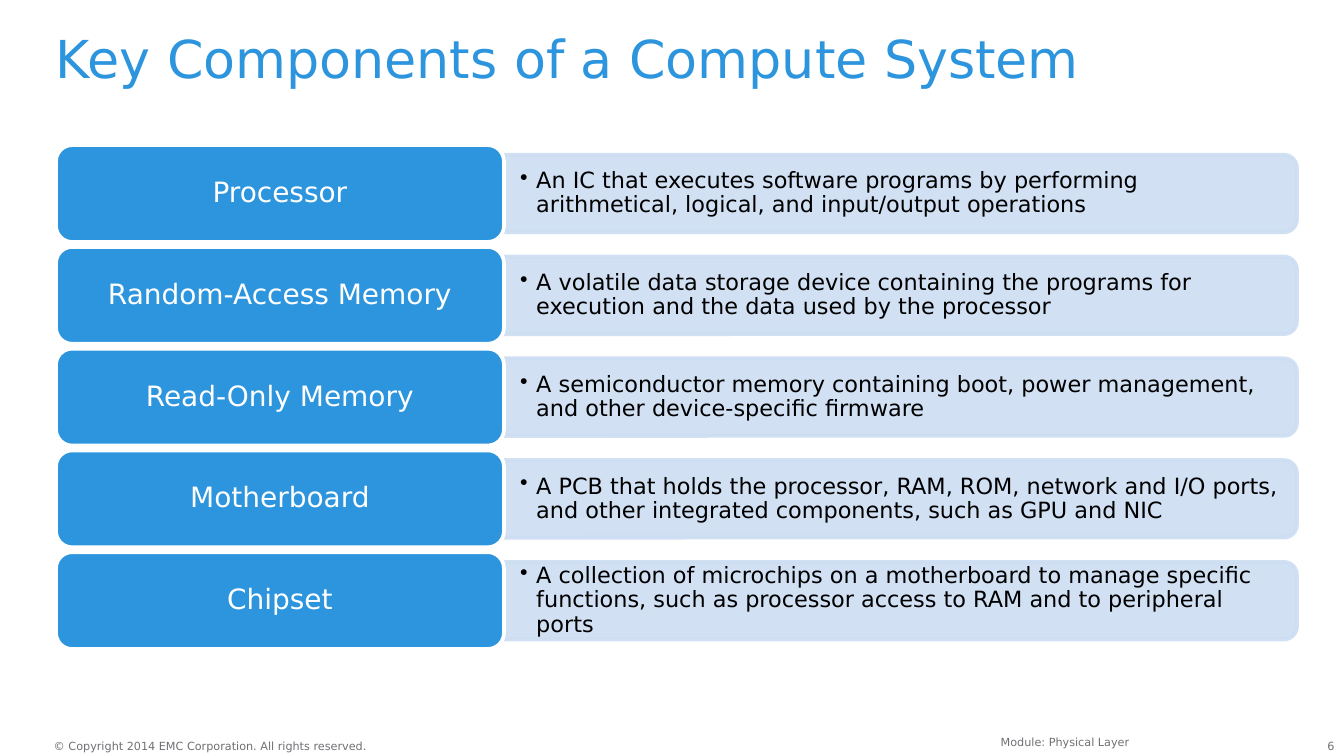
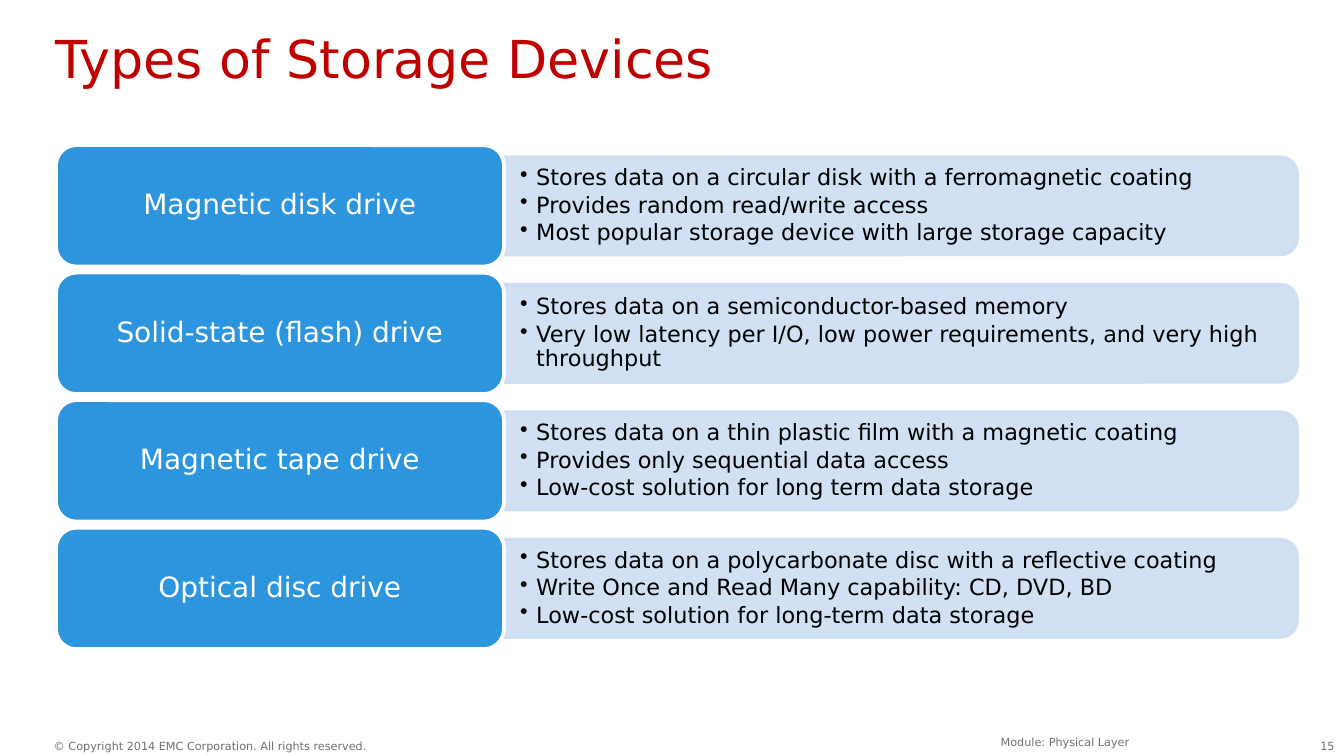
"""Build two slides that pair component names with their descriptions."""
from lxml import etree
from pptx import Presentation
from pptx.dml.color import RGBColor
from pptx.enum.shapes import MSO_SHAPE as Preset
from pptx.enum.text import MSO_ANCHOR as Anchor, MSO_AUTO_SIZE as AutoSize, PP_ALIGN as Align
from pptx.oxml.ns import qn
from pptx.util import Inches, Pt

FONT = "DejaVu Sans"
BLUE = RGBColor(0x2C, 0x95, 0xDD)
RED = RGBColor(0xC0, 0x00, 0x00)
PALE = RGBColor(0xCD, 0xDD, 0xF2)
GRAY = RGBColor(0x71, 0x70, 0x74)
BLACK = RGBColor(0, 0, 0)
WHITE = RGBColor(0xFF, 0xFF, 0xFF)

WIDTH = Inches(10)
HEIGHT = WIDTH * 9 // 16
LEFT, LABEL_WIDTH, DETAIL_WIDTH = WIDTH // 24, WIDTH // 3, int(WIDTH * 0.59)
DETAIL_LEFT = LEFT + LABEL_WIDTH
GRID_TOP, GRID_HEIGHT = Inches(1.08), Inches(3.75)
GAP_SHARE, BAR_SHARE = 0.05, 0.8

SLIDES = [
    ("Key Components of a Compute System", BLUE, "6", [
        ("Processor", ["An IC that executes software programs by performing arithmetical, "
                       "logical, and input/output operations"]),
        ("Random-Access Memory", ["A volatile data storage device containing the programs for "
                                  "execution and the data used by the processor"]),
        ("Read-Only Memory", ["A semiconductor memory containing boot, power management, "
                              "and other device-specific firmware"]),
        ("Motherboard", ["A PCB that holds the processor, RAM, ROM, network and I/O ports, "
                         "and other integrated components, such as GPU and NIC"]),
        ("Chipset", ["A collection of microchips on a motherboard to manage specific functions, "
                     "such as processor access to RAM and to peripheral ports"]),
    ]),
    ("Types of Storage Devices", RED, "15", [
        ("Magnetic disk drive", ["Stores data on a circular disk with a ferromagnetic coating",
                                 "Provides random read/write access",
                                 "Most popular storage device with large storage capacity"]),
        ("Solid-state (flash) drive", ["Stores data on a semiconductor-based memory",
                                       "Very low latency per I/O, low power requirements, "
                                       "and very high throughput"]),
        ("Magnetic tape drive", ["Stores data on a thin plastic film with a magnetic coating",
                                 "Provides only sequential data access",
                                 "Low-cost solution for long term data storage"]),
        ("Optical disc drive", ["Stores data on a polycarbonate disc with a reflective coating",
                                "Write Once and Read Many capability: CD, DVD, BD",
                                "Low-cost solution for long-term data storage"]),
    ]),
]
FOOTERS = [
    (0.40, 5.50, 2.37, 0.10, Align.LEFT, (0, 0), "© Copyright 2014 EMC Corporation. All rights reserved."),
    (2.83, 5.42, 5.67, 0.15, Align.RIGHT, (0.1, 0.05), "Module: Physical Layer"),
    (9.62, 5.50, 0.31, 0.10, Align.RIGHT, (0, 0), None),
]


def write(shape, lines, size, color, align=Align.LEFT, anchor=Anchor.TOP,
          margins=(0, 0), spacing=0.9, bullets=False):
    frame = shape.text_frame
    frame.word_wrap = True
    frame.auto_size = AutoSize.NONE
    frame.vertical_anchor = anchor
    frame.margin_left = frame.margin_right = Inches(margins[0])
    frame.margin_top = frame.margin_bottom = Inches(margins[1])
    frame.text = "\n".join(lines)
    for paragraph in frame.paragraphs:
        paragraph.alignment = align
        paragraph.line_spacing = spacing
        if bullets:
            paragraph.space_after = Pt(1.8)
            properties = paragraph._p.get_or_add_pPr()
            properties.set("marL", str(Inches(0.12)))
            properties.set("indent", str(-Inches(0.12)))
            etree.SubElement(properties, qn("a:buChar"), char="•")
        for font in [paragraph.font] + [run.font for run in paragraph.runs]:
            font.name = FONT
            font.size = Pt(size)
            font.color.rgb = color


def add_block(slide, preset, left, top, width, height, fill, line, opacity=100):
    shape = slide.shapes.add_shape(preset, left, top, width, height)
    shape.shadow.inherit = False
    shape.fill.solid()
    shape.fill.fore_color.rgb = fill
    shape.line.color.rgb = line
    shape.line.width = Pt(2)
    if opacity < 100:
        for color in shape._element.spPr.iter(qn("a:srgbClr")):
            etree.SubElement(color, qn("a:alpha"), val=str(opacity * 1000))
    return shape


presentation = Presentation()
presentation.slide_width, presentation.slide_height = WIDTH, HEIGHT

for title, title_color, number, rows in SLIDES:
    slide = presentation.slides.add_slide(presentation.slide_layouts[5])
    heading = slide.shapes.title
    heading.left, heading.top = LEFT, Inches(0.25)
    heading.width, heading.height = LABEL_WIDTH + DETAIL_WIDTH, Inches(0.5)
    write(heading, [title], 28, title_color)

    for left, top, width, height, align, margins, text in FOOTERS:
        box = slide.shapes.add_textbox(Inches(left), Inches(top), Inches(width), Inches(height))
        write(box, [text or number], 6, GRAY, align, margins=margins, spacing=1.0)

    row_height = int(GRID_HEIGHT / (len(rows) + (len(rows) - 1) * GAP_SHARE))
    bar_height = int(row_height * BAR_SHARE)
    for index, (label, details) in enumerate(rows):
        top = GRID_TOP + int(index * row_height * (1 + GAP_SHARE))
        bar_top = top + (row_height - bar_height) // 2
        turn = (DETAIL_WIDTH - bar_height) // 2
        bar = add_block(slide, Preset.ROUND_2_SAME_RECTANGLE, DETAIL_LEFT + turn, bar_top - turn,
                        bar_height, DETAIL_WIDTH, PALE, PALE, opacity=90)
        bar.rotation = 90
        description = slide.shapes.add_textbox(DETAIL_LEFT, bar_top, DETAIL_WIDTH, bar_height)
        write(description, details, 12, BLACK, anchor=Anchor.MIDDLE,
              margins=(0.12, 0.06), bullets=True)
        name = add_block(slide, Preset.ROUNDED_RECTANGLE, LEFT, top, LABEL_WIDTH, row_height,
                         BLUE, WHITE)
        write(name, [label], 15, WHITE, Align.CENTER, Anchor.MIDDLE, margins=(0.06, 0.03))

presentation.save("out.pptx")
